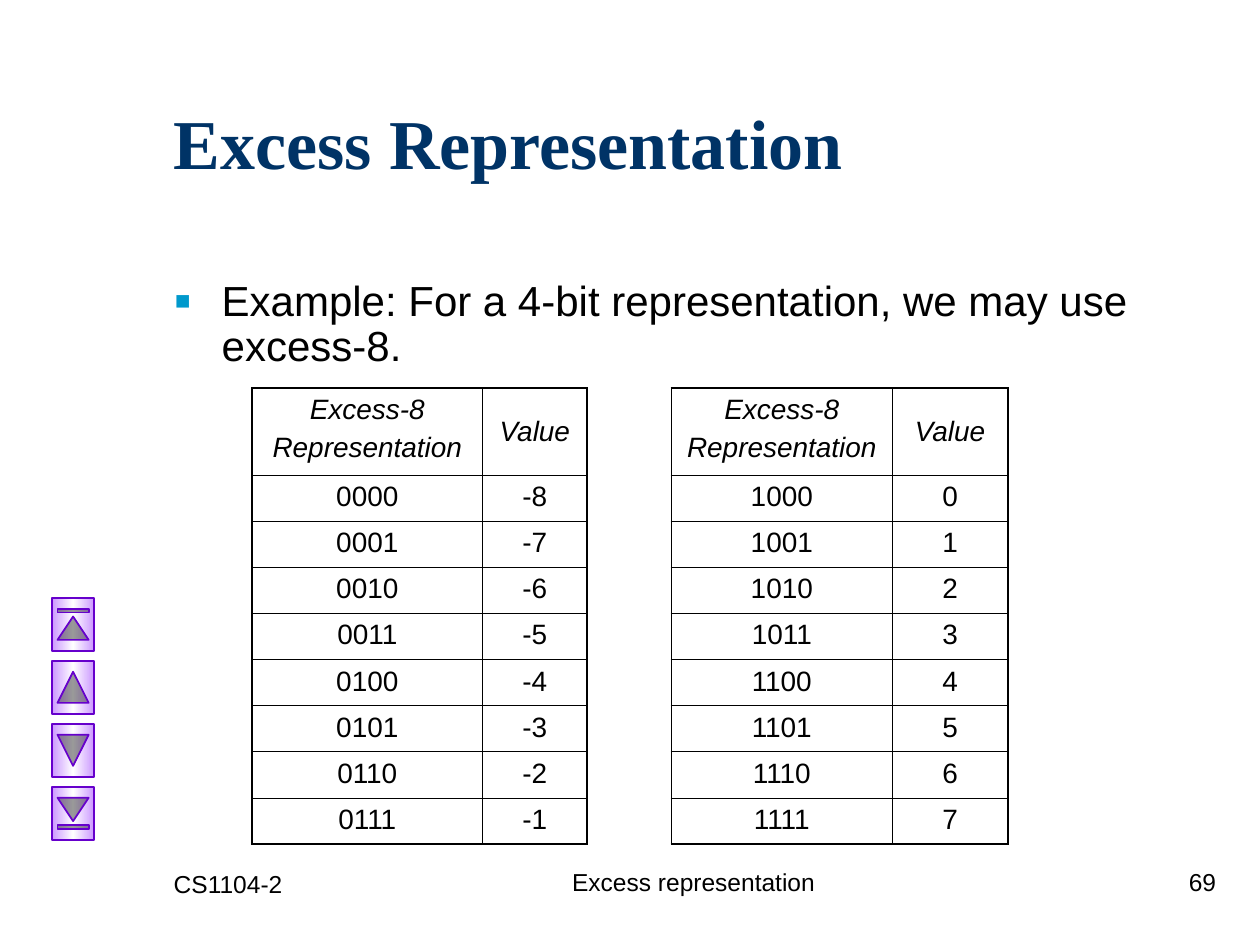
from dataclasses import dataclass

from lxml import etree
from pptx import Presentation
from pptx import util as u
from pptx.dml.color import RGBColor
from pptx.enum import shapes, text
from pptx.oxml.ns import qn

COLORS = {
    "title": "003366",
    "text": "000000",
    "bullet": "0099CC",
    "button": "CC99FF",
    "shine": "FFFFFF",
    "button_line": "6600CC",
}
BODY_FONT = "Arial"
TITLE_FONT = "Times New Roman"
ALIGN = text.PP_ALIGN
OUTER, INNER = 1.08, 0.45
TABLE_TOP, TABLE_HEIGHT, HEADER_HEIGHT = 3.08, 3.62, 0.69
BUTTON_WIDTH, BUTTON_HEIGHT = 0.42, 0.33
BUTTON_LEFT, BUTTON_TOP, BUTTON_STEP = 0.37, 4.79, 0.5


@dataclass
class CodeTable:
    left: float
    column_widths: tuple[float, float]
    first_code: int


@dataclass
class Label:
    words: str
    left: float
    top: float
    width: float
    align: ALIGN


TABLES = [CodeTable(2, (1.83, 0.83), 0), CodeTable(5.33, (1.75, 0.92), 8)]
LABELS = [
    Label("Excess representation", 3.92, 6.83, 3.17, ALIGN.CENTER),
    Label("69", 7.67, 6.83, 2.08, ALIGN.RIGHT),
    Label("CS1104-2", 1.28, 6.85, 2.08, ALIGN.LEFT),
]
BUTTONS = [
    shapes.MSO_SHAPE.ACTION_BUTTON_BEGINNING,
    shapes.MSO_SHAPE.ACTION_BUTTON_BACK_OR_PREVIOUS,
    shapes.MSO_SHAPE.ACTION_BUTTON_FORWARD_OR_NEXT,
    shapes.MSO_SHAPE.ACTION_BUTTON_END,
]


def rgb(name: str) -> RGBColor:
    return RGBColor.from_string(COLORS[name])


def write(frame, words: str, *, size: float, align=ALIGN.LEFT, font=BODY_FONT, color="text",
          bold=False, italic=False, anchor=text.MSO_ANCHOR.TOP, gap=0) -> None:
    """Fill a text frame, one paragraph a line, with gap points between them."""
    frame.word_wrap = True
    frame.vertical_anchor = anchor
    for number, line in enumerate(words.split("\n")):
        para = frame.add_paragraph() if number else frame.paragraphs[0]
        para.alignment = align
        para.space_before = u.Pt(gap if number else 0)
        span = para.add_run()
        span.text = line
        span.font.size = u.Pt(size)
        span.font.name = font
        span.font.bold = bold
        span.font.italic = italic
        span.font.color.rgb = rgb(color)


def place(box, left: float, top: float, width: float, height: float) -> None:
    box.left, box.top = u.Inches(left), u.Inches(top)
    box.width, box.height = u.Inches(width), u.Inches(height)
    box.text_frame.auto_size = text.MSO_AUTO_SIZE.NONE


def add_bullet(para) -> None:
    props = para._p.get_or_add_pPr()
    props.set("marL", str(u.Inches(0.38)))
    props.set("indent", str(-u.Inches(0.38)))
    color = etree.SubElement(props, qn("a:buClr"))
    etree.SubElement(color, qn("a:srgbClr"), val=COLORS["bullet"])
    etree.SubElement(props, qn("a:buSzPct"), val="120000")
    etree.SubElement(props, qn("a:buFont"), typeface=BODY_FONT)
    etree.SubElement(props, qn("a:buChar"), char="▪")


def set_borders(cell, widths: dict[str, float]) -> None:
    """Draw the cell's sides, keyed L, R, T, B, in points."""
    props = cell._tc.get_or_add_tcPr()
    for position, (side, width) in enumerate(widths.items()):
        line = etree.Element(qn(f"a:ln{side}"), w=str(u.Pt(width)))
        fill = etree.SubElement(line, qn("a:solidFill"))
        etree.SubElement(fill, qn("a:srgbClr"), val=COLORS["text"])
        props.insert(position, line)


def add_code_table(page, spec: CodeTable) -> None:
    rows = [("Excess-8\nRepresentation", "Value")]
    rows += [(f"{code:04b}", str(code - 8)) for code in range(spec.first_code, spec.first_code + 8)]
    last = len(rows) - 1
    frame = page.shapes.add_table(len(rows), 2, u.Inches(spec.left), u.Inches(TABLE_TOP),
                                  u.Inches(sum(spec.column_widths)), u.Inches(TABLE_HEIGHT))
    table = frame.table
    table.first_row = table.horz_banding = False
    for column, width in zip(table.columns, spec.column_widths):
        column.width = u.Inches(width)
    for r, values in enumerate(rows):
        header = r == 0
        height = HEADER_HEIGHT if header else (TABLE_HEIGHT - HEADER_HEIGHT) / last
        table.rows[r].height = u.Inches(height)
        for c, words in enumerate(values):
            cell = table.cell(r, c)
            cell.fill.background()
            write(cell.text_frame, words, size=16, align=ALIGN.CENTER, italic=header, gap=4)
            middle = header and c == 1
            cell.vertical_anchor = text.MSO_ANCHOR.MIDDLE if middle else text.MSO_ANCHOR.TOP
            set_borders(cell, {
                "L": INNER if c else OUTER,
                "R": OUTER if c else INNER,
                "T": OUTER if header else INNER,
                "B": OUTER if r == last else INNER,
            })


def add_button(page, kind: shapes.MSO_SHAPE, top: float) -> None:
    button = page.shapes.add_shape(kind, u.Inches(BUTTON_LEFT), u.Inches(top),
                                   u.Inches(BUTTON_WIDTH), u.Inches(BUTTON_HEIGHT))
    button.rotation = 90
    button.shadow.inherit = False
    button.line.color.rgb = rgb("button_line")
    button.line.width = u.Pt(1)
    button.fill.gradient()
    button.fill.gradient_angle = 90
    stops = button._element.spPr.find(qn("a:gradFill")).find(qn("a:gsLst"))
    for stop in list(stops):
        stops.remove(stop)
    for percent, name in ((0, "button"), (50, "shine"), (100, "button")):
        stop = etree.SubElement(stops, qn("a:gs"), pos=str(percent * 1000))
        etree.SubElement(stop, qn("a:srgbClr"), val=COLORS[name])


def add_label(page, label: Label) -> None:
    box = page.shapes.add_textbox(0, 0, 0, 0)
    place(box, label.left, label.top, label.width, 0.5)
    write(box.text_frame, label.words, size=14, align=label.align)


def main() -> None:
    deck = Presentation()
    deck.slide_width, deck.slide_height = u.Inches(10), u.Inches(7.5)
    page = deck.slides.add_slide(deck.slide_layouts[1])

    title, body = page.shapes.title, page.placeholders[1]
    place(title, 1.28, 0.5, 8.5, 1.25)
    write(title.text_frame, "Excess Representation", size=40, font=TITLE_FONT,
          color="title", bold=True, anchor=text.MSO_ANCHOR.MIDDLE)
    place(body, 1.28, 2.17, 8.38, 0.83)
    write(body.text_frame, "Example: For a 4-bit representation, we may use excess-8.", size=24)
    para = body.text_frame.paragraphs[0]
    para.line_spacing = 0.9
    add_bullet(para)

    for spec in TABLES:
        add_code_table(page, spec)
    for number, kind in enumerate(BUTTONS):
        add_button(page, kind, BUTTON_TOP + number * BUTTON_STEP)
    for label in LABELS:
        add_label(page, label)
    deck.save("out.pptx")


if __name__ == "__main__":
    main()
